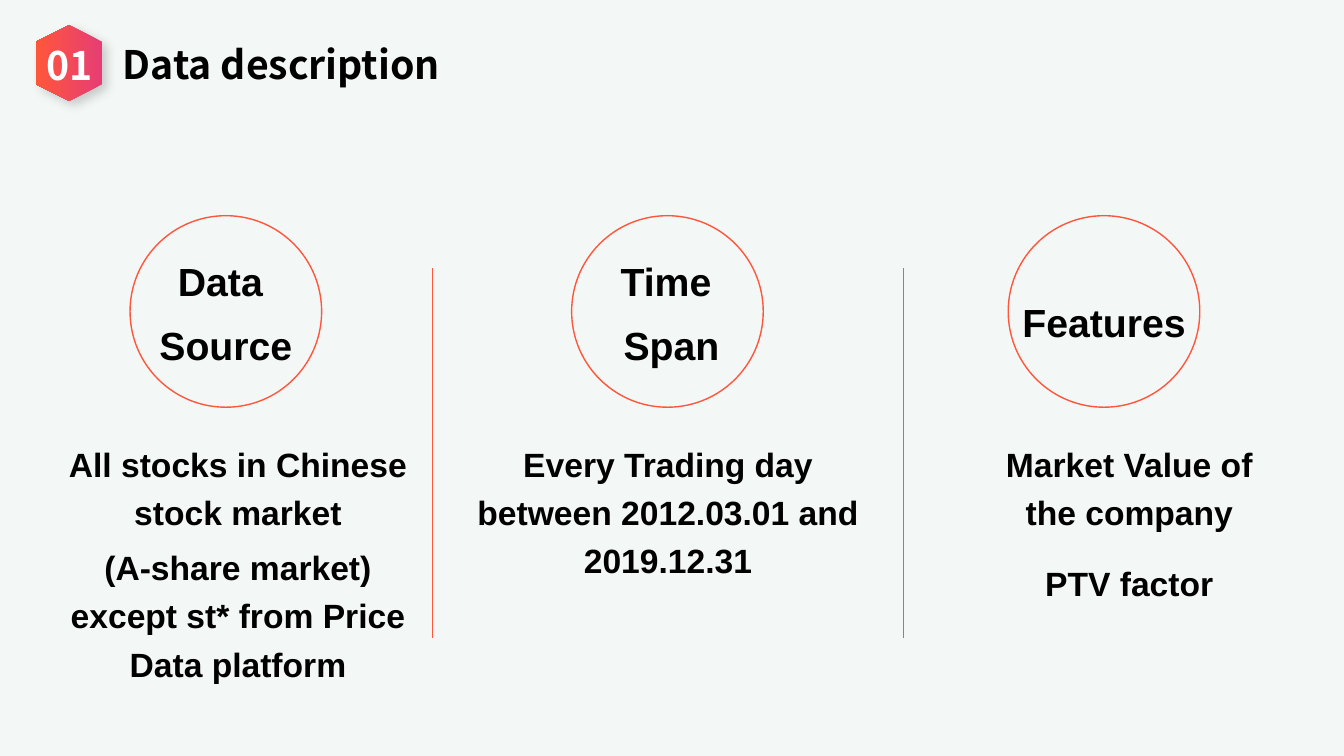
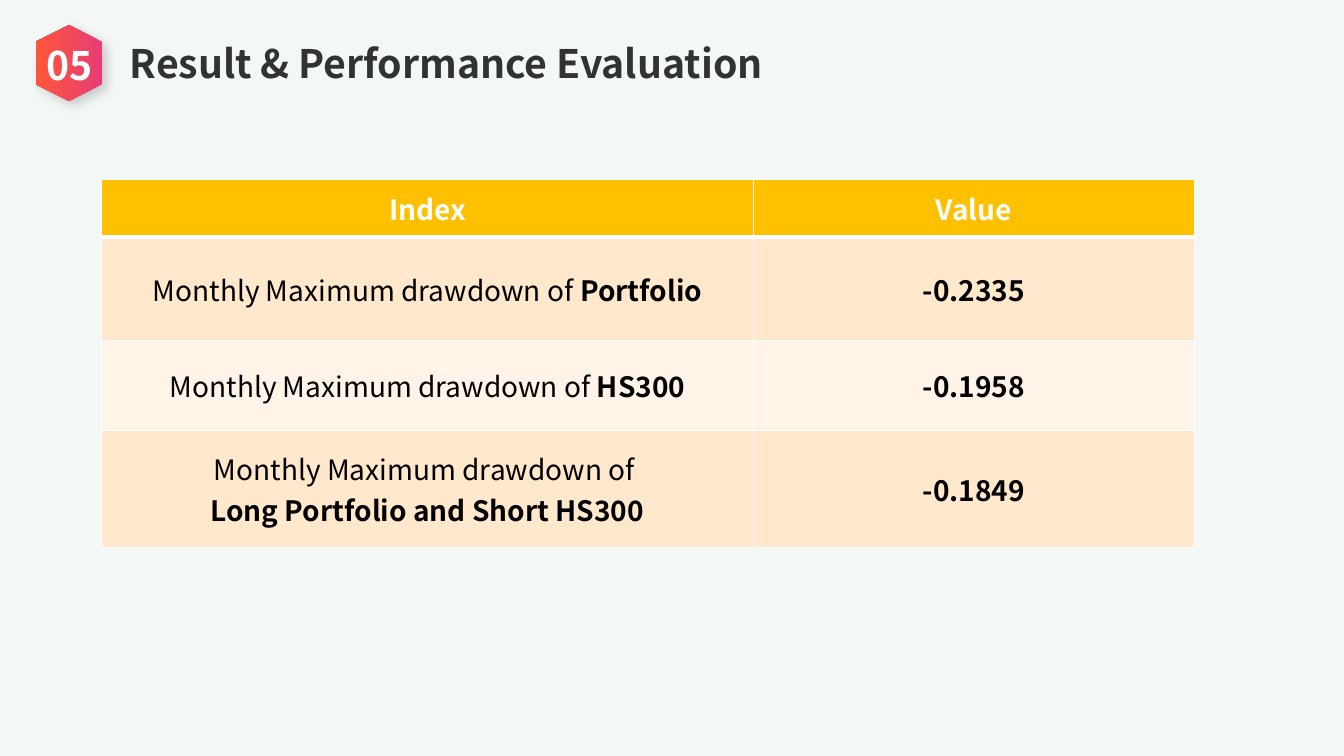
from lxml import etree
from pptx import Presentation
from pptx.dml.color import RGBColor
from pptx.enum.shapes import MSO_CONNECTOR, MSO_SHAPE
from pptx.enum.text import MSO_ANCHOR, MSO_AUTO_SIZE, PP_ALIGN
from pptx.oxml.ns import qn
from pptx.util import Inches, Pt

ELLIPSE, HEXAGON = MSO_SHAPE.OVAL, MSO_SHAPE.HEXAGON
STRAIGHT = MSO_CONNECTOR.STRAIGHT
LEFT, CENTER = PP_ALIGN.LEFT, PP_ALIGN.CENTER
MIDDLE = MSO_ANCHOR.MIDDLE
GROW = MSO_AUTO_SIZE.SHAPE_TO_FIT_TEXT

TITLE_FONT, BODY_FONT = "Noto Sans CJK SC", "Arial"
BACKGROUND, BLACK, WHITE = "F3F7F6", "000000", "FFFFFF"
ORANGE, PINK = "FF563C", "E73D74"
HEADER_FILL, BAND_FILLS = "FFC000", ("FFE8CC", "FFF4E7")


def rgb(value):
    return RGBColor.from_string(value)


def add_color(parent, value):
    """Append an RGB colour element to an XML parent and return it."""
    return etree.SubElement(parent, qn("a:srgbClr"), val=value)


class Deck:
    """Holds the shared style and the slide being filled."""

    def __init__(self):
        self.presentation = Presentation()
        self.presentation.slide_width = Inches(13.33)
        self.presentation.slide_height = Inches(7.5)
        fill = self.presentation.slide_master.background.fill
        fill.solid()
        fill.fore_color.rgb = rgb(BACKGROUND)
        self.slide = None

    def start_slide(self, number, title, left, top, width, color=BLACK):
        """Add a blank slide with its numbered badge and title."""
        layout = self.presentation.slide_layouts[6]
        self.slide = self.presentation.slides.add_slide(layout)
        self.badge(number)
        self.text(left, top, width, 0.57, [title], 28, TITLE_FONT, color, LEFT, inset=True)

    def run(self, paragraph, text, size, font, color, bold=True):
        run = paragraph.add_run()
        run.text = text
        run.font.size = Pt(size)
        run.font.name = font
        run.font.bold = bold
        run.font.color.rgb = rgb(color)

    def text(self, left, top, width, height, lines, size, font=BODY_FONT,
             color=BLACK, align=CENTER, inset=False, spacing=None):
        """Add a text box with one paragraph for each line."""
        box = self.slide.shapes.add_textbox(
            Inches(left), Inches(top), Inches(width), Inches(height))
        frame = box.text_frame
        frame.word_wrap = True
        frame.auto_size = GROW
        if not inset:
            frame.margin_left = frame.margin_right = 0
            frame.margin_top = frame.margin_bottom = 0
        for index, line in enumerate(lines):
            paragraph = frame.add_paragraph() if index else frame.paragraphs[0]
            paragraph.alignment = align
            if spacing:
                paragraph.line_spacing = spacing
            if index:
                paragraph.space_before = Pt(0.2 * size)
            self.run(paragraph, line, size, font, color)

    def body(self, left, top, width, height, lines, size=24):
        self.text(left, top, width, height, lines, size, spacing=1.2)

    def badge(self, number):
        """Add the gradient hexagon with the section number."""
        shape = self.slide.shapes.add_shape(
            HEXAGON, Inches(0.31), Inches(0.3), Inches(0.75), Inches(0.65))
        shape.rotation = 90
        shape.line.fill.background()
        shape.fill.gradient()
        shape.fill.gradient_angle = 270
        for stop, color in zip(shape.fill.gradient_stops, (PINK, ORANGE)):
            stop.color.rgb = rgb(color)
        shape.shadow.inherit = False
        effects = shape._element.spPr.find(qn("a:effectLst"))
        shadow = etree.SubElement(
            effects, qn("a:outerShdw"), blurRad=str(Pt(8)), dist=str(Pt(5)),
            dir=str(45 * 60000), algn="tl", rotWithShape="0")
        etree.SubElement(add_color(shadow, BLACK), qn("a:alpha"), val="18000")
        self.text(0.31, 0.36, 0.76, 0.57, [number], 28, TITLE_FONT, WHITE, inset=True)

    def circle(self, left, top, diameter):
        shape = self.slide.shapes.add_shape(
            ELLIPSE, Inches(left), Inches(top), Inches(diameter), Inches(diameter))
        shape.shadow.inherit = False
        shape.fill.background()
        shape.line.color.rgb = rgb(ORANGE)
        shape.line.width = Pt(1)

    def divider(self, x, top, bottom):
        line = self.slide.shapes.add_connector(
            STRAIGHT, Inches(x), Inches(top), Inches(x), Inches(bottom))
        line.line.color.rgb = rgb(ORANGE)
        line.line.width = Pt(1)
        etree.SubElement(line._element.spPr, qn("a:effectLst"))

    def cell_borders(self, cell, top, bottom):
        """Draw white borders; the side borders are one point wide."""
        properties = cell._tc.get_or_add_tcPr()
        widths = {"a:lnL": 1, "a:lnR": 1, "a:lnT": top, "a:lnB": bottom}
        for index, (tag, width) in enumerate(widths.items()):
            border = etree.Element(qn(tag), w=str(Pt(width)))
            add_color(etree.SubElement(border, qn("a:solidFill")), WHITE)
            properties.insert(index, border)

    def table(self, left, top, widths, heights, rows):
        """Add a table; a cell is a list of paragraphs of (text, bold) runs."""
        table = self.slide.shapes.add_table(
            len(heights), len(widths), Inches(left), Inches(top),
            Inches(sum(widths)), Inches(sum(heights))).table
        table.horz_banding = False
        for column, width in zip(table.columns, widths):
            column.width = Inches(width)
        for row, height in zip(table.rows, heights):
            row.height = Inches(height)
        for row_index, row in enumerate(rows):
            is_header = row_index == 0
            fill = HEADER_FILL if is_header else BAND_FILLS[(row_index - 1) % 2]
            color = WHITE if is_header else BLACK
            for column_index, paragraphs in enumerate(row):
                cell = table.cell(row_index, column_index)
                cell.vertical_anchor = MIDDLE
                cell.fill.solid()
                cell.fill.fore_color.rgb = rgb(fill)
                self.cell_borders(cell, 3 if row_index == 1 else 1, 3 if is_header else 1)
                frame = cell.text_frame
                for index, runs in enumerate(paragraphs):
                    paragraph = frame.add_paragraph() if index else frame.paragraphs[0]
                    paragraph.alignment = CENTER
                    for text, bold in runs:
                        self.run(paragraph, text, 20, TITLE_FONT, color, bold)


def build_data_description(deck):
    deck.start_slide("01", "Data description", 1.12, 0.35, 3.74)
    for x in (4.29, 8.96):
        deck.divider(x, 2.66, 6.33)
    topics = [
        (1.29, 1.04, 2.46, ["Data ", "Source"]),
        (5.67, 5.46, 2.46, ["Time ", "Span"]),
        (10, 9.75, 2.87, ["Features"]),
    ]
    for circle_left, label_left, label_top, label in topics:
        deck.circle(circle_left, 2.14, 1.9)
        deck.body(label_left, label_top, 2.4, 0.6 * len(label), label, 28)
    deck.body(0.66, 4.32, 3.4, 2.46, [
        "All stocks in Chinese stock market",
        "(A-share market) except st* from Price Data platform"])
    deck.body(4.5, 4.32, 4.25, 1.45, ["Every Trading day between 2012.03.01 and 2019.12.31"])
    deck.body(9.91, 4.32, 2.58, 0.97, ["Market Value of the company"])
    deck.body(9.91, 5.5, 2.58, 0.44, ["PTV factor"])


def build_results(deck):
    deck.start_slide("05", "Result & Performance Evaluation", 1.19, 0.34, 8.72, "303234")

    def bold_cell(text):
        return [[(text, True)]]

    measure = ("Monthly Maximum drawdown of ", False)
    rows = [
        [bold_cell("Index"), bold_cell("Value")],
        [[[measure, ("Portfolio", True)]], bold_cell("-0.2335")],
        [[[measure, ("HS300", True)]], bold_cell("-0.1958")],
        [[[measure], [("Long Portfolio and Short HS300", True)]], bold_cell("-0.1849")],
    ]
    deck.table(1.01, 1.78, (6.46, 4.38), (0.57, 1.03, 0.89, 1.16), rows)


def main():
    deck = Deck()
    build_data_description(deck)
    build_results(deck)
    deck.presentation.save("out.pptx")


if __name__ == "__main__":
    main()
